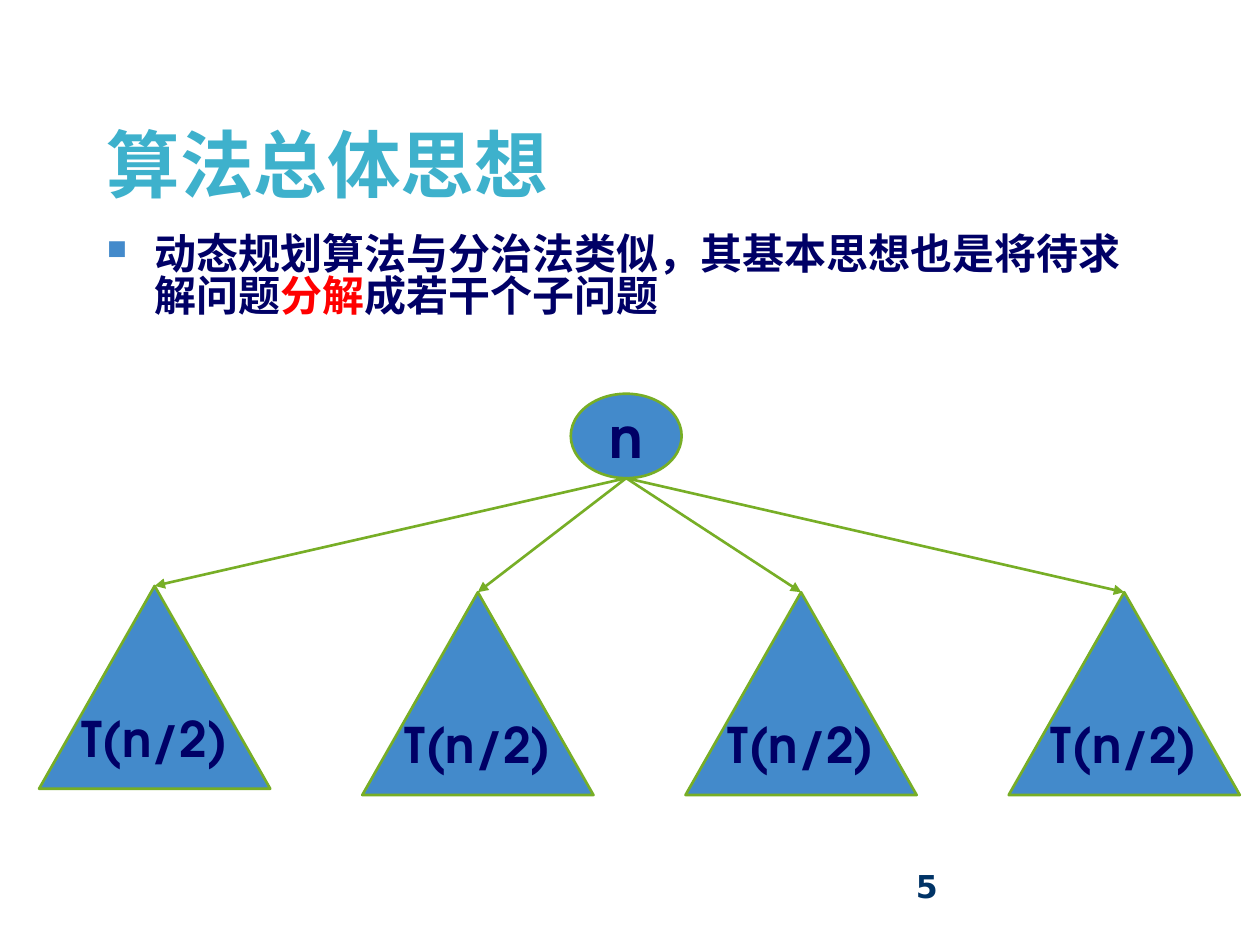
"""Build the slide on the general idea of dynamic programming."""
from dataclasses import dataclass

from lxml import etree
from pptx import Presentation
from pptx.dml.color import RGBColor
from pptx.enum import shapes, text
from pptx.oxml import ns
from pptx.util import Emu, Inches, Pt

NAVY = RGBColor(0x00, 0x00, 0x66)
RED = RGBColor(0xFF, 0x00, 0x00)
BLUE = RGBColor(0x43, 0x8A, 0xCB)
TEAL = RGBColor(0x3E, 0xB1, 0xCC)
GREEN = RGBColor(0x77, 0xAE, 0x26)
PAGE_BLUE = RGBColor(0x00, 0x33, 0x66)
CJK_FONT = "Noto Sans CJK SC"
NODE_FONT = "TeX Gyre Adventor"
CELL = Inches(0.1)
COLUMNS, ROWS = 100, 75
LEAF_PITCH = 25.65


@dataclass(frozen=True)
class Box:
    """A rectangle in grid columns and rows."""

    left: float
    top: float
    width: float
    height: float

    def lengths(self) -> list[Emu]:
        """Return the rectangle as slide lengths."""
        return [grid(n) for n in (self.left, self.top, self.width, self.height)]


@dataclass(frozen=True)
class Node:
    """A labelled node of the recursion tree."""

    preset: shapes.MSO_SHAPE
    box: Box
    label: str
    size: int


ROOT = Node(shapes.MSO_SHAPE.OVAL, Box(45.3, 31.25, 8.8, 6.7), "n", 32)
LEAVES = [
    Node(
        shapes.MSO_SHAPE.ISOSCELES_TRIANGLE,
        Box(3.1 + column * LEAF_PITCH, top, 18.35, 16.1),
        "T(n/2)",
        28,
    )
    for column, top in enumerate((46.5, 47, 47, 47))
]


def grid(cells: float) -> Emu:
    """Convert grid cells to a slide length."""
    return Emu(round(cells * CELL))


def add_run(paragraph, words: str, *, size: int, color: RGBColor, font: str) -> None:
    """Append bold text with its format."""
    run = paragraph.add_run()
    run.text = words
    run.font.size = Pt(size)
    run.font.bold = True
    run.font.name = font
    run.font.color.rgb = color
    east_asian = etree.SubElement(run.font._element, ns.qn("a:ea"))
    east_asian.set("typeface", CJK_FONT)


def add_text_box(slide, box: Box, anchor: text.MSO_ANCHOR):
    """Add a wrapping text box and return its frame."""
    frame = slide.shapes.add_textbox(*box.lengths()).text_frame
    frame.word_wrap = True
    frame.vertical_anchor = anchor
    return frame


def add_bullet(paragraph) -> None:
    """Give a paragraph a square bullet with a hanging indent."""
    properties = paragraph._p.get_or_add_pPr()
    properties.set("marL", str(grid(3.75)))
    properties.set("indent", str(-grid(3.75)))
    color = etree.SubElement(properties, ns.qn("a:buClr"))
    etree.SubElement(color, ns.qn("a:srgbClr")).set("val", str(BLUE))
    etree.SubElement(properties, ns.qn("a:buSzPct")).set("val", "65000")
    etree.SubElement(properties, ns.qn("a:buChar")).set("char", "■")


def add_node(slide, node: Node):
    """Draw a node with its centred label."""
    shape = slide.shapes.add_shape(node.preset, *node.box.lengths())
    shape.shadow.inherit = False
    shape.fill.solid()
    shape.fill.fore_color.rgb = BLUE
    shape.line.color.rgb = GREEN
    shape.line.width = Pt(1.5)
    frame = shape.text_frame
    frame.word_wrap = False
    frame.vertical_anchor = text.MSO_ANCHOR.MIDDLE
    paragraph = frame.paragraphs[0]
    paragraph.alignment = text.PP_ALIGN.CENTER
    add_run(paragraph, node.label, size=node.size, color=NAVY, font=NODE_FONT)
    return shape


def add_arrow(slide, parent, child) -> None:
    """Draw an arrow from the bottom of the parent to the top of the child."""
    arrow = slide.shapes.add_connector(
        shapes.MSO_CONNECTOR.STRAIGHT,
        parent.left + parent.width // 2,
        parent.top + parent.height,
        child.left + child.width // 2,
        child.top,
    )
    arrow.end_connect(child, 0)
    arrow.line.color.rgb = GREEN
    arrow.line.width = Pt(1.5)
    etree.SubElement(arrow.line._get_or_add_ln(), ns.qn("a:tailEnd")).set("type", "triangle")
    etree.SubElement(arrow._element.spPr, ns.qn("a:effectLst"))


def main() -> None:
    """Build and save the presentation."""
    presentation = Presentation()
    presentation.slide_width = grid(COLUMNS)
    presentation.slide_height = grid(ROWS)
    slide = presentation.slides.add_slide(presentation.slide_layouts[6])

    page = add_text_box(slide, Box(71.7, 68.3, 23.3, 5.2), text.MSO_ANCHOR.TOP)
    add_run(page.paragraphs[0], "5", size=18, color=PAGE_BLUE, font="DejaVu Sans")

    body = add_text_box(slide, Box(7.5, 17.8, 85, 45), text.MSO_ANCHOR.TOP)
    body.margin_top = grid(1)
    paragraph = body.paragraphs[0]
    add_bullet(paragraph)
    paragraph.line_spacing = 0.82
    for words, color in (
        ("动态规划算法与分治法类似，其基本思想也是将待求解问题", NAVY),
        ("分解", RED),
        ("成若干个子问题", NAVY),
    ):
        add_run(paragraph, words, size=24, color=color, font=CJK_FONT)

    title = add_text_box(slide, Box(7.5, 6.7, 85, 12.5), text.MSO_ANCHOR.MIDDLE)
    add_run(title.paragraphs[0], "算法总体思想", size=42, color=TEAL, font="Times New Roman")

    root = add_node(slide, ROOT)
    for leaf in LEAVES:
        add_arrow(slide, root, add_node(slide, leaf))

    presentation.save("out.pptx")


if __name__ == "__main__":
    main()
